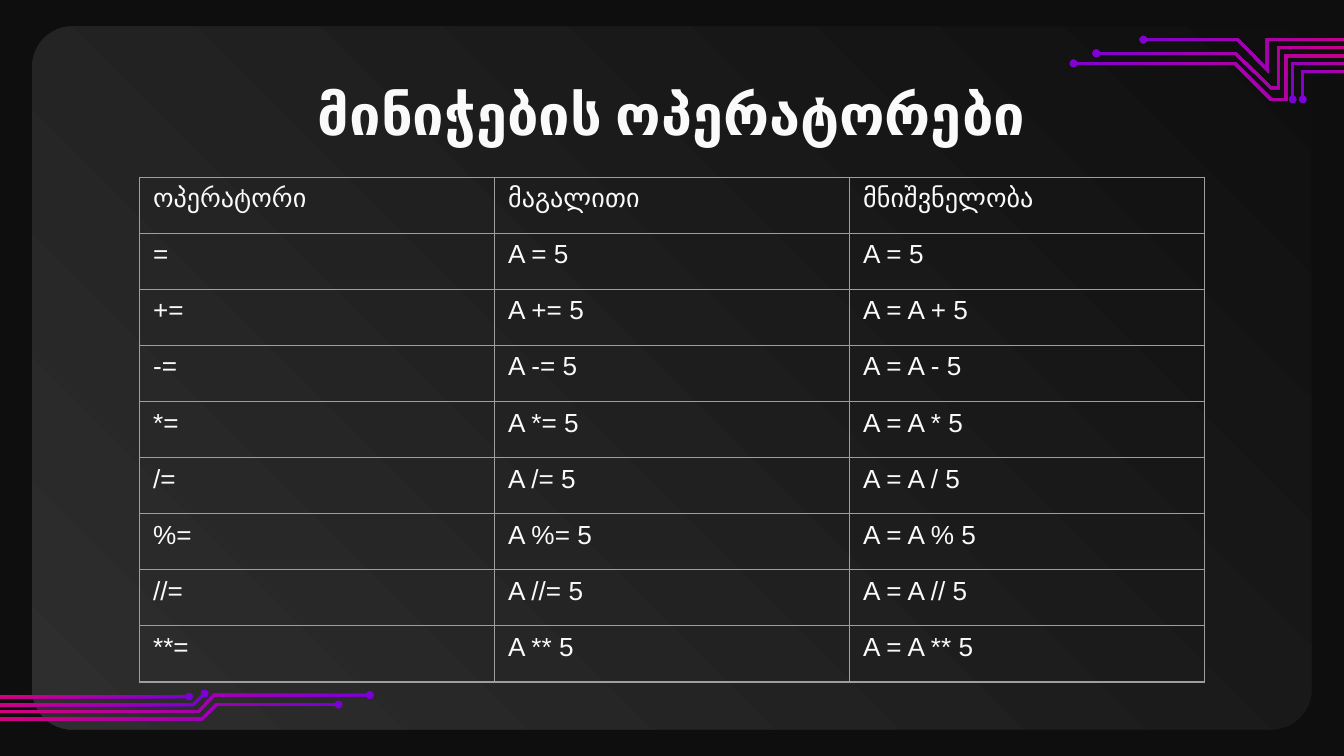
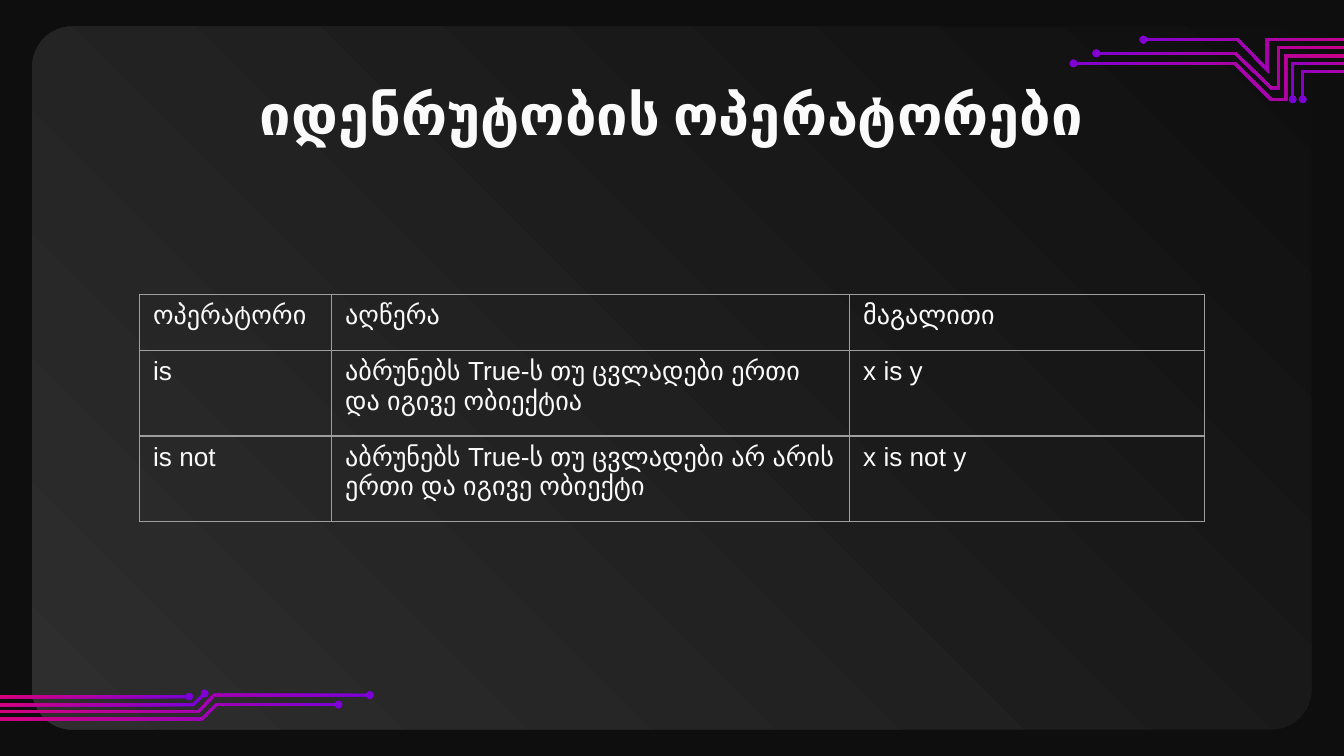
from math import asin, atan2, cos, hypot, pi, sin

from lxml.etree import SubElement
from pptx import Presentation
from pptx.dml.color import RGBColor
from pptx.enum.shapes import MSO_SHAPE
from pptx.enum.text import MSO_ANCHOR, MSO_AUTO_SIZE, PP_ALIGN
from pptx.oxml import parse_xml
from pptx.oxml.ns import nsdecls, qn
from pptx.util import Cm, Pt

COLORS = {
    "background": "0E0E0E",
    "panel_dark": "0F0F0F",
    "panel_light": "2E2E2E",
    "violet": "7800DA",
    "magenta": "DA0078",
    "text": "FAFAFA",
    "grid": "9E9E9E",
}

SLIDES = [
    {
        "title": "მინიჭების ოპერატორები",
        "top": 3.35,
        "columns": [6.71, 6.71, 6.71],
        "heights": [1.06] * 9,
        "rows": [
            ("ოპერატორი", "მაგალითი", "მნიშვნელობა"),
            ("=", "A = 5", "A = 5"),
            ("+=", "A += 5", "A = A + 5"),
            ("-=", "A -= 5", "A = A - 5"),
            ("*=", "A *= 5", "A = A * 5"),
            ("/=", "A /= 5", "A = A / 5"),
            ("%=", "A %= 5", "A = A % 5"),
            ("//=", "A //= 5", "A = A // 5"),
            ("**=", "A ** 5", "A = A ** 5"),
        ],
    },
    {
        "title": "იდენრუტობის ოპერატორები",
        "top": 5.56,
        "columns": [3.63, 9.79, 6.71],
        "heights": [1.06, 1.62, 1.62],
        "rows": [
            ("ოპერატორი", "აღწერა", "მაგალითი"),
            ("is", "აბრუნებს True-ს თუ ცვლადები ერთი და იგივე ობიექტია", "x is y"),
            ("is not", "აბრუნებს True-ს თუ ცვლადები არ არის ერთი და იგივე ობიექტი",
             "x is not y"),
        ],
    },
]

# Circuit traces: centre lines in cm, each starting at its dot
BOTTOM_TRACES = [
    [(6.4, 13.32), (4.09, 13.32), (3.82, 13.59), (0, 13.59)],
    [(3.87, 13.11), (3.65, 13.32), (0, 13.32)],
    [(3.58, 13.17), (0, 13.17)],
    [(6.99, 13.14), (4.05, 13.14), (3.75, 13.45), (0, 13.45)],
]
TOP_TRACES = [
    [(24.62, 1.88), (24.62, 1.35), (26.62, 1.35)],
    [(24.43, 1.88), (24.43, 1.2), (26.62, 1.2)],
    [(21.61, 0.75), (23.39, 0.75), (23.95, 1.32), (23.95, 0.75), (26.62, 0.75)],
    [(20.29, 1.2), (23.34, 1.2), (24.02, 1.88), (24.3, 1.88), (24.3, 1.06), (26.62, 1.06)],
    [(20.72, 1.01), (23.35, 1.01), (24.02, 1.66), (24.16, 1.66), (24.16, 0.9), (26.62, 0.9)],
]
HALF_WIDTH = 0.025
DOT_RADIUS = 0.07
DOT_STEPS = 20
TABLE_LEFT = 2.64


def rgb(name):
    return RGBColor.from_string(COLORS[name])


def paint_gradient(shape, start, end, clockwise_angle):
    shape.shadow.inherit = False
    shape.line.fill.background()
    shape.fill.gradient()
    shape.fill.gradient_angle = 360 - clockwise_angle
    for stop, color in zip(shape.fill.gradient_stops, (start, end)):
        stop.color.rgb = rgb(color)


def trace_outline(centre):
    """Outline of a thin mitred line that starts with a round dot."""
    normals = []
    for (x0, y0), (x1, y1) in zip(centre, centre[1:]):
        length = hypot(x1 - x0, y1 - y0)
        normals.append(((y0 - y1) / length, (x1 - x0) / length))

    (dot_x, dot_y), (next_x, next_y) = centre[:2]
    opening = asin(HALF_WIDTH / DOT_RADIUS)
    first = atan2(next_y - dot_y, next_x - dot_x) + opening
    step = (2 * pi - 2 * opening) / DOT_STEPS
    dot = [(dot_x + DOT_RADIUS * cos(first + i * step),
            dot_y + DOT_RADIUS * sin(first + i * step)) for i in range(DOT_STEPS + 1)]

    near, far = [], []
    for (x, y), (ax, ay), (bx, by) in zip(centre[1:], normals, normals[1:] + normals[-1:]):
        reach = HALF_WIDTH / (1 + ax * bx + ay * by)
        dx, dy = (ax + bx) * reach, (ay + by) * reach
        near.append((x - dx, y - dy))
        far.append((x + dx, y + dy))
    return dot + near + far[::-1]


def decorate_layout(layout, slide):
    """Draw the shared decoration on a slide, then move it behind the layout's parts."""
    layout.background.fill.solid()
    layout.background.fill.fore_color.rgb = rgb("background")

    panel = slide.shapes.add_shape(
        MSO_SHAPE.ROUNDED_RECTANGLE, Cm(0.61), Cm(0.5), Cm(24.18), Cm(13.29))
    panel.adjustments[0] = 0.057
    paint_gradient(panel, "panel_dark", "panel_light", 135)
    decoration = [panel]

    for traces, angle in ((BOTTOM_TRACES, 225), (TOP_TRACES, 315)):
        for centre in traces:
            start, *rest = [(Cm(x), Cm(y)) for x, y in trace_outline(centre)]
            builder = slide.shapes.build_freeform(*start)
            builder.add_line_segments(rest, close=True)
            trace = builder.convert_to_shape()
            paint_gradient(trace, "violet", "magenta", angle)
            decoration.append(trace)

    for index, shape in enumerate(decoration, start=2):
        layout.shapes.element.insert(index, shape.element)


def style_text(paragraph, font_name, size, bold=False):
    for run in paragraph.runs:
        run.font.name = font_name
        run.font.size = Pt(size)
        run.font.bold = bold
        run.font.color.rgb = rgb("text")


def add_title(slide, text):
    title = slide.shapes.title
    title.left, title.top, title.width, title.height = Cm(2), Cm(1.25), Cm(21.4), Cm(1.6)
    frame = title.text_frame
    frame.text = text
    frame.word_wrap = True
    frame.auto_size = MSO_AUTO_SIZE.NONE
    frame.vertical_anchor = MSO_ANCHOR.TOP
    frame.margin_left = frame.margin_right = 0
    frame.margin_top = frame.margin_bottom = Cm(0.25)
    frame.paragraphs[0].alignment = PP_ALIGN.CENTER
    style_text(frame.paragraphs[0], "Lato", 30, bold=True)


def add_borders(cell):
    properties = cell._tc.get_or_add_tcPr()
    for index, side in enumerate(("lnL", "lnR", "lnT", "lnB")):
        border = parse_xml(f'<a:{side} {nsdecls("a")} w="{Pt(0.75)}"/>')
        fill = SubElement(border, qn("a:solidFill"))
        SubElement(fill, qn("a:srgbClr"), val=COLORS["grid"])
        properties.insert(index, border)


def add_operator_table(slide, content):
    rows, columns, heights = content["rows"], content["columns"], content["heights"]
    table = slide.shapes.add_table(
        len(rows), len(columns), Cm(TABLE_LEFT), Cm(content["top"]),
        Cm(sum(columns)), Cm(sum(heights))).table
    table.first_row = table.horz_banding = False
    for column, width in zip(table.columns, columns):
        column.width = Cm(width)
    for row, height, texts in zip(table.rows, heights, rows):
        row.height = Cm(height)
        for cell, text in zip(row.cells, texts):
            cell.text_frame.text = text
            style_text(cell.text_frame.paragraphs[0], "Arial", 14)
            cell.fill.background()
            add_borders(cell)


def main():
    deck = Presentation()
    deck.slide_width, deck.slide_height = Cm(25.4), Cm(14.29)
    layout = deck.slide_layouts[5]
    for number, content in enumerate(SLIDES):
        slide = deck.slides.add_slide(layout)
        if number == 0:
            decorate_layout(layout, slide)
        add_title(slide, content["title"])
        add_operator_table(slide, content)
    deck.save("out.pptx")


if __name__ == "__main__":
    main()
